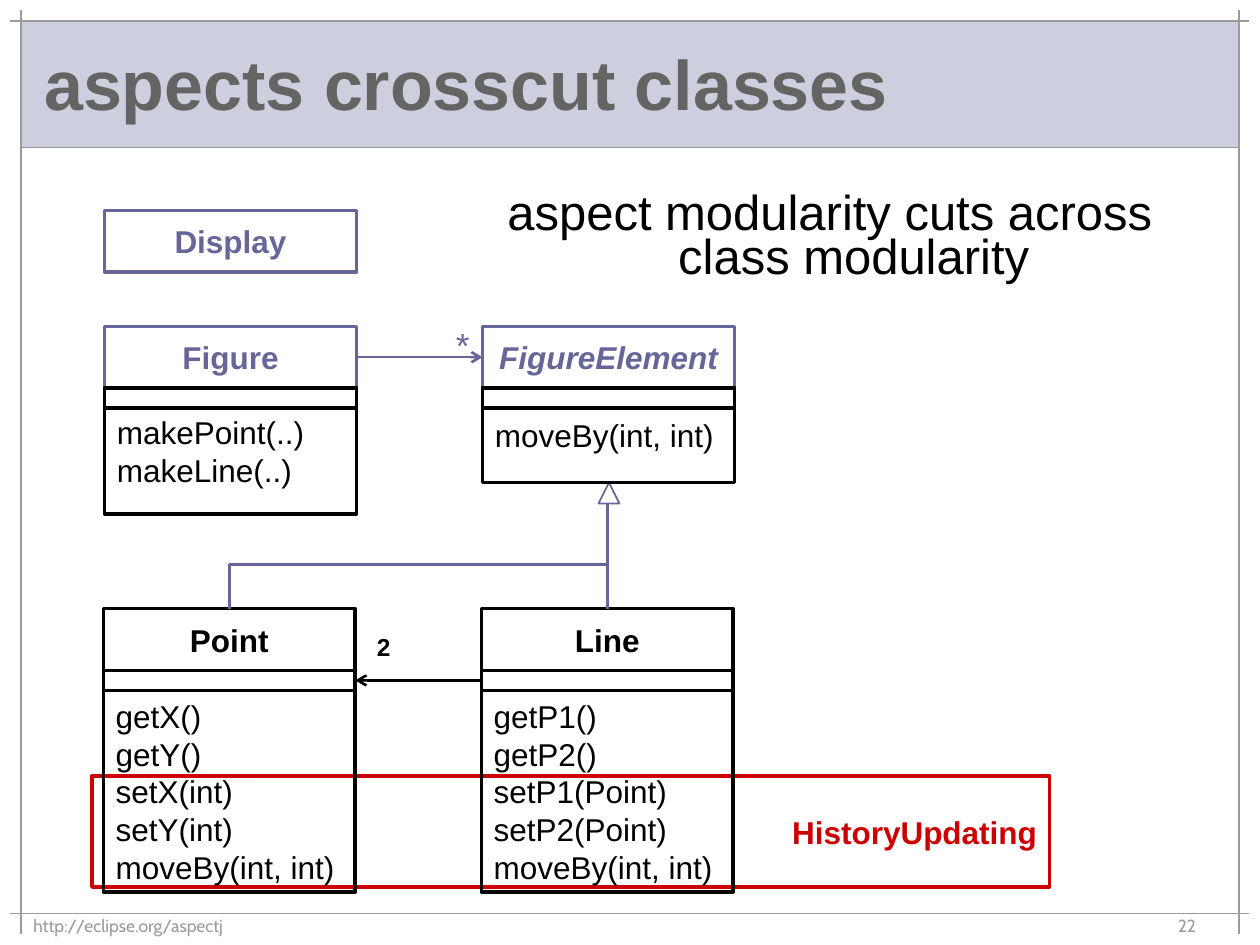
from dataclasses import dataclass

from lxml.etree import SubElement
from pptx import Presentation
from pptx.dml.color import RGBColor
from pptx.enum.shapes import MSO_CONNECTOR as Connector, MSO_SHAPE as Shape
from pptx.enum.text import MSO_ANCHOR as Anchor, MSO_AUTO_SIZE as AutoSize, PP_ALIGN as Align
from pptx.oxml.ns import qn
from pptx.util import Inches, Pt


@dataclass(frozen=True)
class Theme:
    font: str = "Arial"
    footer_font: str = "Cabin"
    band: str = "CECFDE"
    rule: str = "9C9A9C"
    heading: str = "636563"
    ink: str = "000000"
    violet: str = "666699"
    red: str = "CC0000"
    paper: str = "FFFFFF"
    title_size: int = 40
    lead_size: int = 28
    star_size: int = 20
    class_size: int = 18
    count_size: int = 14
    footer_size: int = 10


THEME = Theme()
WIDTH, HEIGHT = 10, 7.5
MARGIN = WIDTH / 60           # page frame
BAND_BOTTOM = 1.17
FOOT_RULE = 7.25
COLUMN, PITCH = 0.83, 3       # class grid: first column, column step
CLASS_WIDTH, NAME_HEIGHT, BAR_HEIGHT = 2, 0.49, 0.16
UPPER, LOWER = 2.59, 4.83     # tops of the class rows
BUS = 4.48                    # height of the inheritance line
LEFT, BOTTOM_RIGHT = 1, 3     # connection sites on a rectangle's sides
TOP = 0


def color(value):
    return RGBColor.from_string(value)


def inches(*values):
    return [Inches(value) for value in values]


def write(shape, text, size, ink, align=Align.LEFT, anchor=Anchor.TOP, wrap=True,
          bold=False, italic=False, font=THEME.font, spacing=None):
    frame = shape.text_frame
    frame.auto_size = AutoSize.NONE
    frame.word_wrap = wrap
    frame.vertical_anchor = anchor
    para = frame.paragraphs[0]
    para.alignment = align
    if spacing:
        para.line_spacing = spacing
    for number, line in enumerate(text.split("\n")):
        if number:
            para.add_line_break()
        span = para.add_run()
        span.text = line
        span.font.name, span.font.size = font, Pt(size)
        span.font.bold, span.font.italic = bold, italic
        span.font.color.rgb = color(ink)
    return para


def add_box(page, place, line=None, fill=None, weight=2, kind=Shape.RECTANGLE):
    box = page.shapes.add_shape(kind, *inches(*place))
    box.shadow.inherit = False
    if fill:
        box.fill.solid()
        box.fill.fore_color.rgb = color(fill)
    else:
        box.fill.background()
    if line:
        box.line.color.rgb = color(line)
        box.line.width = Pt(weight)
    else:
        box.line.fill.background()
    return box


def add_label(page, place, text, size, ink, **style):
    label = page.shapes.add_textbox(*inches(*place))
    return write(label, text, size, ink, **style)


def add_line(page, start, end, ink, weight=1.5, arrow=False):
    line = page.shapes.add_connector(Connector.STRAIGHT, *inches(*start, *end))
    line.line.color.rgb = color(ink)
    line.line.width = Pt(weight)
    if arrow:
        SubElement(line.line._get_or_add_ln(), qn("a:tailEnd"), type="arrow")
    SubElement(line.element.spPr, qn("a:effectLst"))
    return line


def add_name(page, left, top, name, ink, italic=False):
    box = add_box(page, (left, top, CLASS_WIDTH, NAME_HEIGHT), ink)
    write(box, name, THEME.class_size, ink, Align.CENTER, Anchor.MIDDLE,
          wrap=False, bold=True, italic=italic)
    return box


def add_class(page, left, top, name, methods, height, ink, body_gap=0, italic=False):
    """Name, empty attribute bar and methods; returns the name and bar boxes."""
    bar_top = top + NAME_HEIGHT
    title = add_name(page, left, top, name, ink, italic)
    body = add_box(page, (left, bar_top + body_gap, CLASS_WIDTH, height), THEME.ink)
    write(body, "\n".join(methods), THEME.class_size, THEME.ink,
          anchor=Anchor.MIDDLE, wrap=False)
    bar = add_box(page, (left, bar_top, CLASS_WIDTH, BAR_HEIGHT), THEME.ink)
    return title, bar


def add_frame(page):
    right, foot = WIDTH - MARGIN, HEIGHT - MARGIN / 2
    half = MARGIN / 2
    band = add_box(page, (MARGIN, MARGIN, WIDTH - 2 * MARGIN, 1), fill=THEME.band)
    for x in (MARGIN, right):
        add_line(page, (x, half), (x, foot), THEME.rule, 1)
    for y, inset in ((MARGIN, half), (BAND_BOTTOM, MARGIN), (FOOT_RULE, half)):
        add_line(page, (inset, y), (WIDTH - inset, y), THEME.rule, 1)
    for left, width, text in ((MARGIN, 5.92, "http://eclipse.org/aspectj"), (9.25, 0.67, "22")):
        add_label(page, (left, 7.21, width, 0.25), text, THEME.footer_size,
                  THEME.rule, font=THEME.footer_font)
    return band


def add_heading(page, band):
    title = page.shapes.title
    title.left, title.top, title.width, title.height = inches(0.25, 0.25, 9.5, 0.92)
    write(title, "aspects crosscut classes", THEME.title_size, THEME.heading,
          anchor=Anchor.MIDDLE, bold=True, spacing=0.85)
    band.element.addnext(title.element)   # the title stands on the band
    para = add_label(page, (3.5, 1.5, 6.17, 0.83),
                     "aspect modularity cuts across class modularity",
                     THEME.lead_size, THEME.ink, align=Align.CENTER, spacing=0.75)
    hanging = Inches(0.38)
    props = para._p.get_or_add_pPr()
    props.set("marL", str(hanging))
    props.set("indent", str(-hanging))


def add_diagram(page):
    second = COLUMN + PITCH
    low_left, low_right = COLUMN - 0.01, second - 0.01
    middle_left, middle_right = (x + CLASS_WIDTH / 2 for x in (low_left, low_right))

    # Aspect frame behind the classes
    aspect = add_box(page, (0.73, 6.16, 7.6, 0.88), THEME.red)
    write(aspect, "HistoryUpdating", THEME.class_size, THEME.red, Align.RIGHT,
          Anchor.MIDDLE, wrap=False, bold=True)

    # Inheritance arrowhead
    add_box(page, (4.75, 3.83, MARGIN, MARGIN), THEME.violet, THEME.paper, 1,
            Shape.ISOSCELES_TRIANGLE)

    # Classes
    add_name(page, COLUMN, 1.67, "Display", THEME.violet)
    figure, _ = add_class(page, COLUMN, UPPER, "Figure",
                          ["makePoint(..)", "makeLine(..)"], 1, THEME.violet)
    element, _ = add_class(page, second, UPPER, "FigureElement",
                           ["moveBy(int, int)"], 0.75, THEME.violet, italic=True)
    point, point_bar = add_class(
        page, low_left, LOWER, "Point",
        ["getX()", "getY()", "setX(int)", "setY(int)", "moveBy(int, int)"],
        1.6, THEME.ink, BAR_HEIGHT)
    line, line_bar = add_class(
        page, low_right, LOWER, "Line",
        ["getP1()", "getP2()", "setP1(Point)", "setP2(Point)", "moveBy(int, int)"],
        1.6, THEME.ink, BAR_HEIGHT)

    # Associations between the columns
    for source, source_side, target, target_side, ink in (
            (figure, BOTTOM_RIGHT, element, LEFT, THEME.violet),
            (line_bar, LEFT, point_bar, BOTTOM_RIGHT, THEME.ink)):
        arrow = add_line(page, (0, 0), (1, 1), ink, arrow=True)
        arrow.begin_connect(source, source_side)
        arrow.end_connect(target, target_side)
    add_label(page, (3.52, 2.52, 0.25, 0.44), "*", THEME.star_size, THEME.violet,
              align=Align.CENTER)
    add_label(page, (2.88, 4.97, 0.33, 0.34), "2", THEME.count_size, THEME.ink,
              align=Align.CENTER, bold=True)

    # Inheritance tree
    for child, x in ((point, middle_left), (line, middle_right)):
        stem = add_line(page, (x, LOWER), (x, BUS), THEME.violet)
        stem.begin_connect(child, TOP)
    add_line(page, (middle_left, BUS), (middle_right, BUS), THEME.violet)
    add_line(page, (middle_right, BUS), (middle_right, 3.99), THEME.violet)


def main():
    deck = Presentation()
    deck.slide_width, deck.slide_height = inches(WIDTH, HEIGHT)
    page = deck.slides.add_slide(deck.slide_layouts[5])
    band = add_frame(page)
    add_heading(page, band)
    add_diagram(page)
    deck.save("out.pptx")


if __name__ == "__main__":
    main()
